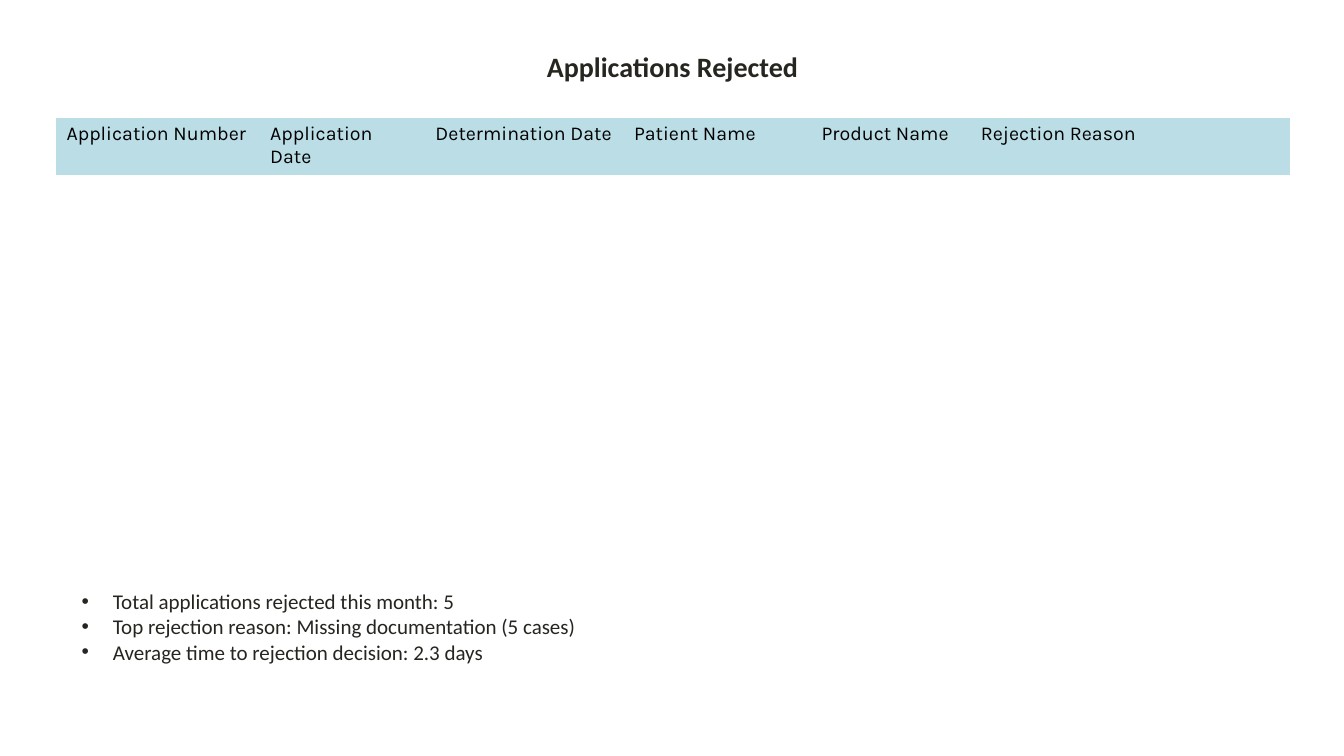
from dataclasses import dataclass

from lxml import etree
from pptx import Presentation
from pptx.dml.color import RGBColor
from pptx.enum import text as t
from pptx.oxml import ns
from pptx.util import Inches, Pt


@dataclass(frozen=True)
class Theme:
    ink: str = "27251F"
    black: str = "000000"
    head: str = "BBDDE6"
    font: str = "Calibri"
    grid: str = "Karla"
    title: int = 20
    body: int = 15
    cell: int = 14


theme = Theme()


def write(para, words, size, font=theme.font, color=theme.ink, bold=False,
          align=t.PP_ALIGN.LEFT, bullet=None):
    para.alignment = align
    run = para.add_run()
    run.text = words
    run.font.size = Pt(size)
    run.font.name = font
    run.font.bold = bold
    run.font.color.rgb = RGBColor.from_string(color)
    if bullet:
        props = para._p.get_or_add_pPr()
        props.set("marL", str(Inches(0.31)))
        props.set("indent", str(-Inches(0.31)))
        face = etree.SubElement(props, ns.qn("a:buFont"))
        face.set("typeface", "Arial")
        mark = etree.SubElement(props, ns.qn("a:buChar"))
        mark.set("char", bullet)


def place(shape, left, top, width, height):
    shape.left, shape.top = Inches(left), Inches(top)
    shape.width, shape.height = Inches(width), Inches(height)
    frame = shape.text_frame
    frame.word_wrap = True
    frame.auto_size = t.MSO_AUTO_SIZE.SHAPE_TO_FIT_TEXT
    frame.vertical_anchor = t.MSO_ANCHOR.TOP
    frame.margin_left = frame.margin_right = Inches(0.08)
    frame.margin_top = frame.margin_bottom = Inches(0.04)
    return frame


deck = Presentation()
deck.slide_width, deck.slide_height = Inches(13.33), Inches(7.5)
slide = deck.slides.add_slide(deck.slide_layouts[5])

# Title
frame = place(slide.shapes.title, 4.19, 0.45, 4.96, 0.42)
write(frame.paragraphs[0], "Applications Rejected", theme.title, bold=True,
      align=t.PP_ALIGN.CENTER)

# Summary bullets
notes = [
    "Total applications rejected this month: 5",
    "Top rejection reason: Missing documentation (5 cases)",
    "Average time to rejection decision: 2.3 days",
]
box = slide.shapes.add_textbox(0, 0, 0, 0)
frame = place(box, 0.73, 5.8, 11.9, 1.09)
for i, note in enumerate(notes):
    para = frame.add_paragraph() if i else frame.paragraphs[0]
    write(para, note, theme.body, bullet="•")

# Table of rejected applications, with rows left to fill in
heads = {
    "Application Number": 2.02,
    "Application Date": 1.64,
    "Determination Date": 1.97,
    "Patient Name": 1.86,
    "Product Name": 1.58,
    "Rejection Reason": 3.17,
}
holder = slide.shapes.add_table(10, len(heads), Inches(0.56), Inches(1.17),
                                Inches(12.24), Inches(3.98))
table = holder.table
table.first_row = table.horz_banding = False

# Table style without grid lines
style = next(holder.element.iter(ns.qn("a:tableStyleId")))
style.text = "{2D5ABB26-0587-4C30-8999-92F81FD0307C}"

for i, row in enumerate(table.rows):
    row.height = Inches(0.41 if i else 0.33)
    for cell in row.cells:
        cell.fill.background()
for i, (head, width) in enumerate(heads.items()):
    table.columns[i].width = Inches(width)
    cell = table.cell(0, i)
    cell.fill.solid()
    cell.fill.fore_color.rgb = RGBColor.from_string(theme.head)
    write(cell.text_frame.paragraphs[0], head, theme.cell, font=theme.grid,
          color=theme.black)

deck.save("out.pptx")
